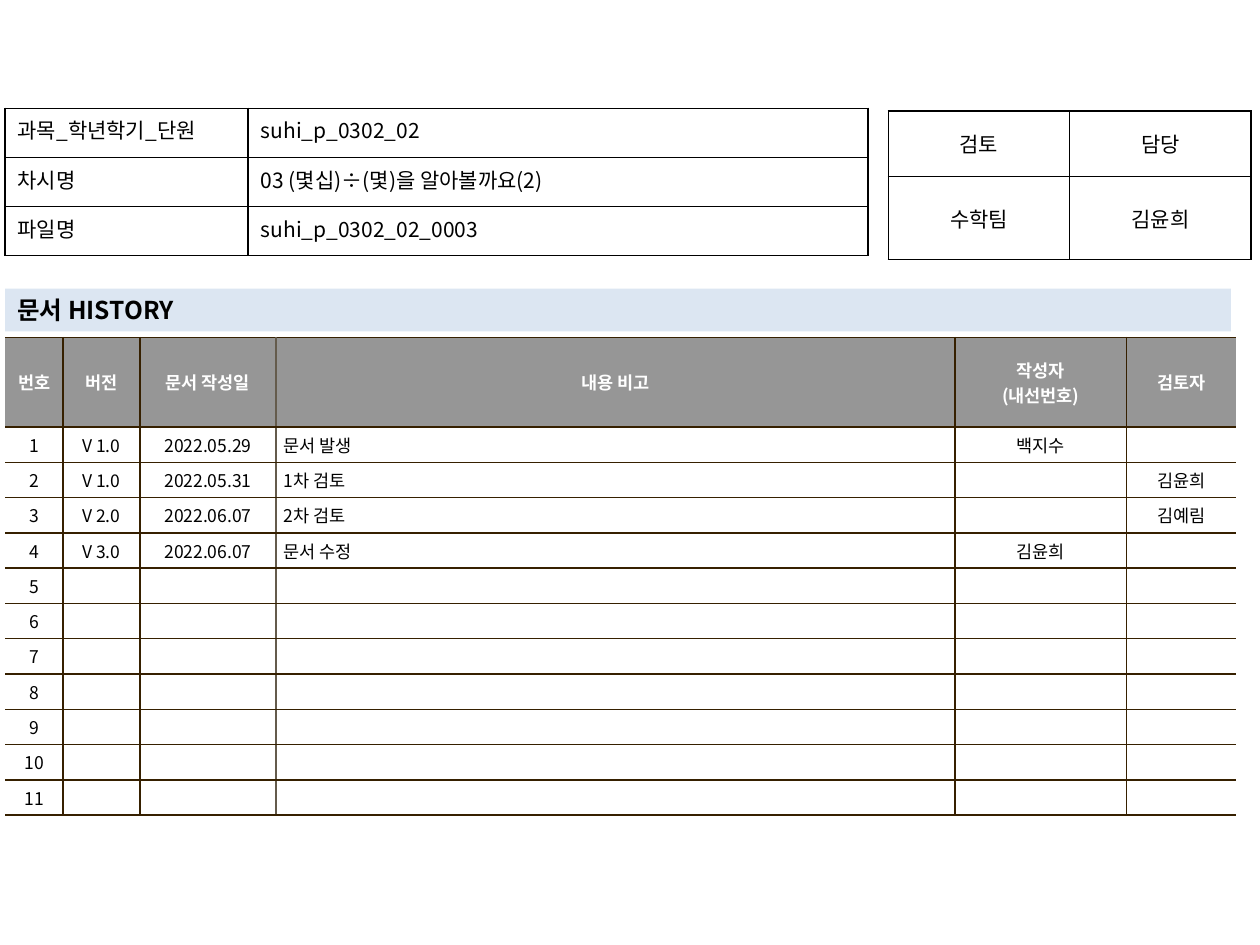
from lxml import etree
from pptx import Presentation
from pptx.dml.color import RGBColor
from pptx.enum.shapes import MSO_SHAPE
from pptx.enum.text import MSO_ANCHOR, PP_ALIGN
from pptx.oxml.ns import qn
from pptx.util import Inches, Pt

LEFT, CENTER, JUST = PP_ALIGN.LEFT, PP_ALIGN.CENTER, PP_ALIGN.JUSTIFY
TOP, MIDDLE = MSO_ANCHOR.TOP, MSO_ANCHOR.MIDDLE
RECT = MSO_SHAPE.RECTANGLE
FONT = "Noto Sans CJK KR"
HUES = {
    "black": "000000", "white": "FFFFFF", "gray": "969696",
    "brown": "362000", "taupe": "645B4C", "pale": "DCE6F2",
}

INFO = [
    ["과목_학년학기_단원", "suhi_p_0302_02"],
    ["차시명", "03 (몇십)÷(몇)을 알아볼까요(2)"],
    ["파일명", "suhi_p_0302_02_0003"],
]
SIGN = [["검토", "담당"], ["수학팀", "김윤희"]]
HEAD = ["번호", "버전", "문서 작성일", "내용 비고", "작성자\n(내선번호)", "검토자"]
LOG = [
    ["V 1.0", "2022.05.29", "문서 발생", "백지수", ""],
    ["V 1.0", "2022.05.31", "1차 검토", "", "김윤희"],
    ["V 2.0", "2022.06.07", "2차 검토", "", "김예림"],
    ["V 3.0", "2022.06.07", "문서 수정", "김윤희", ""],
]
COUNT = 11
NOTE = 3  # column of the remarks


def color(name):
    return RGBColor.from_string(HUES[name])


def write(frame, text, size=12, hue="black", bold=False, align=LEFT):
    """Fill a text frame, one paragraph per line of text."""
    for i, line in enumerate(text.split("\n")):
        para = frame.paragraphs[0] if i == 0 else frame.add_paragraph()
        para.alignment = align
        if not line:
            # An empty cell keeps its row low only with a small end mark.
            etree.SubElement(para._p, qn("a:endParaRPr"), sz=str(size * 100))
            continue
        run = para.add_run()
        run.text = line
        font = run.font
        font.size, font.bold, font.name = Pt(size), bold, FONT
        font.color.rgb = color(hue)
        etree.SubElement(run._r.get_or_add_rPr(), qn("a:ea"), typeface=FONT)


def border(cell, **sides):
    """Draw the sides L, R, T and B in the named hue, or clear them if None."""
    props = cell._tc.get_or_add_tcPr()
    for side in "LRTB":
        line = etree.SubElement(props, qn(f"a:ln{side}"), w=str(Pt(1)))
        if sides[side] is None:
            etree.SubElement(line, qn("a:noFill"))
        else:
            fill = etree.SubElement(line, qn("a:solidFill"))
            etree.SubElement(fill, qn("a:srgbClr"), val=HUES[sides[side]])


def grid(slide, left, top, cols, rows):
    """Add a plain table with the given column widths and row heights."""
    frame = slide.shapes.add_table(
        len(rows), len(cols), Inches(left), Inches(top),
        Inches(sum(cols)), Inches(sum(rows)))
    table = frame.table
    table.first_row = table.horz_banding = False
    for col, width in zip(table.columns, cols):
        col.width = Inches(width)
    for row, height in zip(table.rows, rows):
        row.height = Inches(height)
    return table


def form(slide, left, top, cols, rows, data, aligns, anchor):
    """Add a black-ruled table without fill."""
    table = grid(slide, left, top, cols, rows)
    for r, line in enumerate(data):
        for c, text in enumerate(line):
            cell = table.cell(r, c)
            cell.vertical_anchor = anchor
            border(cell, **dict.fromkeys("LRTB", "black"))
            cell.fill.background()
            write(cell.text_frame, text, align=aligns[c])


def history(slide):
    cols = [0.46, 0.61, 1.08, 5.39, 1.36, 0.87]
    table = grid(slide, 0.04, 2.68, cols, [0.71] + [0.25] * COUNT)
    # Upright rules from left to right; the outer edges stay open.
    rules = [None, "brown", "brown", "taupe", "brown", "brown", None]
    blank = [[""] * len(LOG[0])] * (COUNT - len(LOG))
    body = [[str(n), *line] for n, line in enumerate(LOG + blank, 1)]
    for r, line in enumerate([HEAD] + body):
        top = r == 0
        for c, text in enumerate(line):
            cell = table.cell(r, c)
            cell.vertical_anchor = MIDDLE
            cell.margin_left = cell.margin_right = Inches(0.06)
            cell.margin_top = cell.margin_bottom = Inches(0.04)
            border(cell, L=rules[c], R=rules[c + 1], T="brown", B="brown")
            cell.fill.solid()
            cell.fill.fore_color.rgb = color("gray" if top else "white")
            write(cell.text_frame, text, size=10, bold=top,
                  hue="white" if top else "black",
                  align=LEFT if c == NOTE and not top else CENTER)


def banner(slide, text):
    bar = slide.shapes.add_shape(
        RECT, Inches(0.04), Inches(2.29), Inches(9.73), Inches(0.34))
    bar.shadow.inherit = False
    bar.fill.solid()
    bar.fill.fore_color.rgb = color("pale")
    bar.line.fill.background()
    frame = bar.text_frame
    frame.word_wrap = True
    frame.vertical_anchor = MIDDLE
    write(frame, text, size=14, bold=True)


def main():
    deck = Presentation()
    deck.slide_width, deck.slide_height = Inches(10), Inches(7.5)
    slide = deck.slides.add_slide(deck.slide_layouts[6])
    history(slide)
    form(slide, 7.05, 0.88, [1.44, 1.44], [0.52, 0.66], SIGN,
         [CENTER, CENTER], MIDDLE)
    banner(slide, "문서 HISTORY")
    form(slide, 0.04, 0.86, [1.93, 4.92], [0.39] * 3, INFO,
         [JUST, LEFT], TOP)
    deck.save("out.pptx")


if __name__ == "__main__":
    main()
